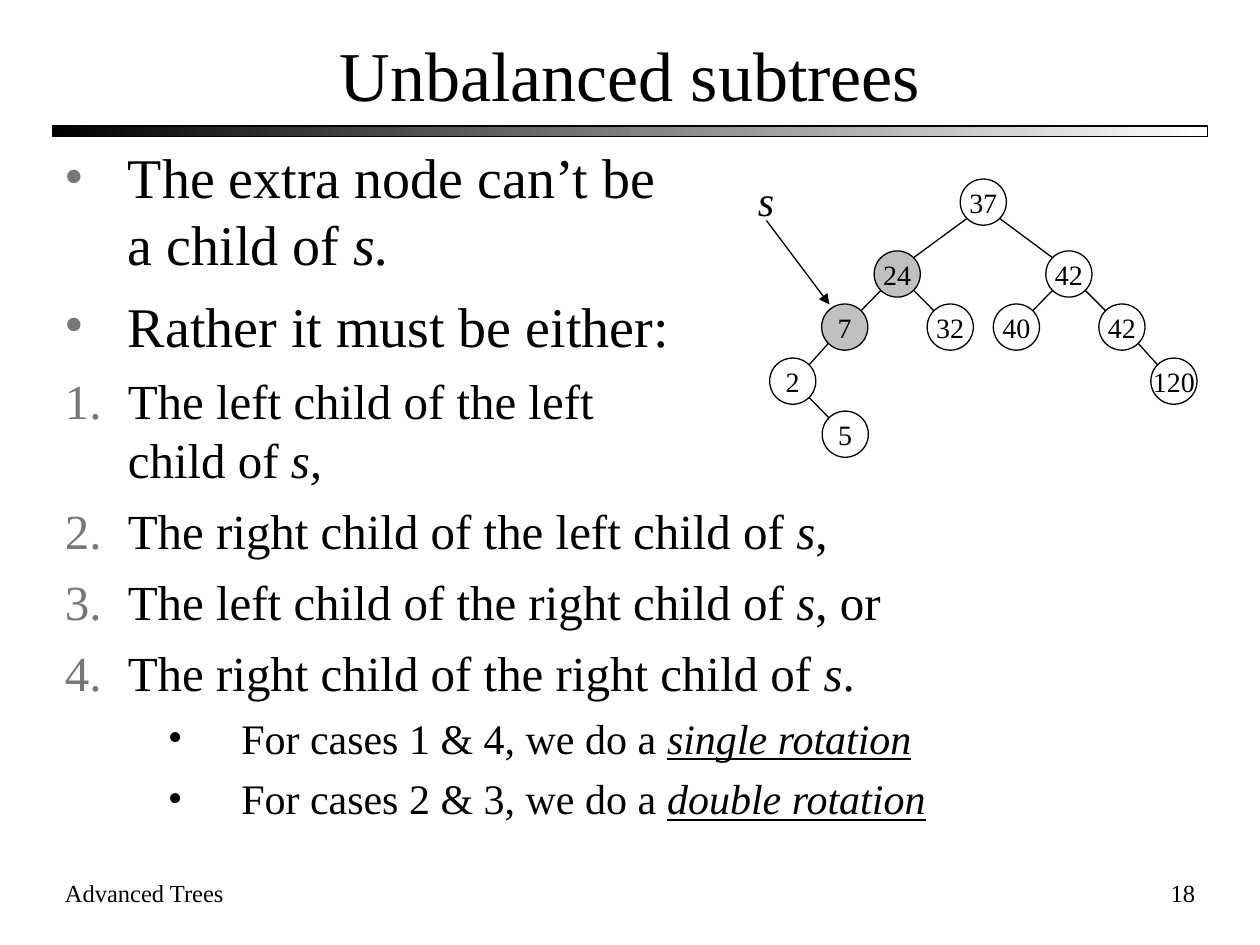
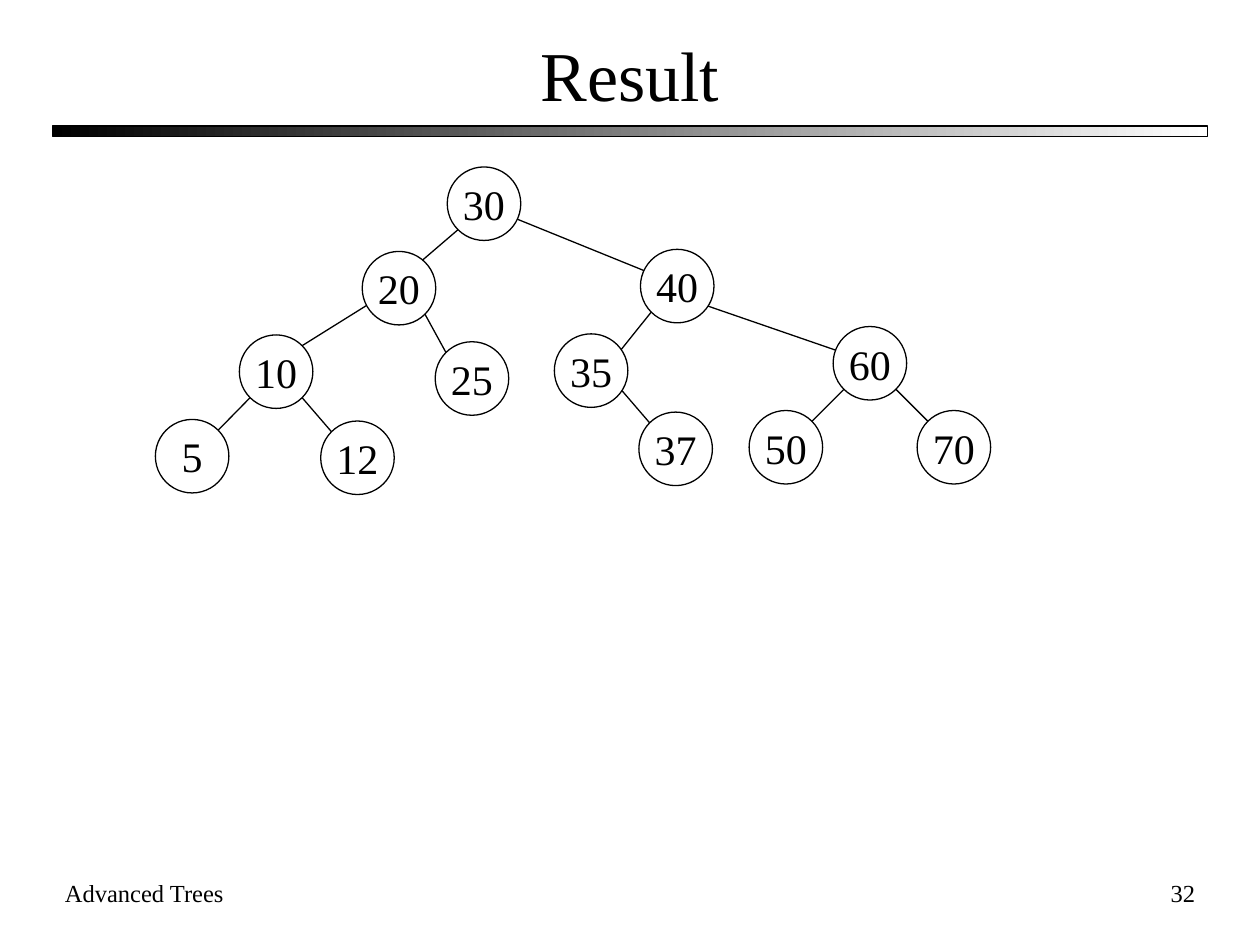
from math import cos, radians, sin

from lxml.etree import SubElement
from pptx import Presentation
from pptx.dml.color import RGBColor
from pptx.enum.shapes import MSO_CONNECTOR, MSO_SHAPE
from pptx.enum.text import MSO_ANCHOR, MSO_AUTO_SIZE, PP_ALIGN
from pptx.oxml.ns import qn
from pptx.util import Inches, Pt

BLACK = RGBColor(0x00, 0x00, 0x00)
WHITE = RGBColor(0xFF, 0xFF, 0xFF)
GRAY = RGBColor(0x77, 0x77, 0x77)
SILVER = RGBColor(0xC0, 0xC0, 0xC0)
FONT = "Times New Roman"
COLS, ROWS = 120, 90  # grid over the whole slide
LEFT, WIDE = 5, 110  # margin and width of the content

# Points by kind: size, space before, left indent, hanging indent, bullet colour
KINDS = {
    "dot": (32, 8, 6, -6, GRAY),
    "num": (28, 7, 6, -6, GRAY),
    "sub": (24, 6, 16.8, -7, BLACK),
}


class Deck:
    """Holds the style and the current slide; lengths are columns and rows."""

    def __init__(self):
        self.prs = Presentation()
        self.prs.slide_width, self.prs.slide_height = Inches(10), Inches(7.5)
        self.slide = None

    def x(self, col):
        return round(self.prs.slide_width * col / COLS)

    def y(self, row):
        return round(self.prs.slide_height * row / ROWS)

    def area(self, col, row, wide, high):
        return self.x(col), self.y(row), self.x(wide), self.y(high)

    def style(self, para, size, align=PP_ALIGN.LEFT):
        para.alignment = align
        font = para.font
        font.name, font.size, font.color.rgb = FONT, Pt(size), BLACK

    def outline(self, shape):
        shape.line.color.rgb = BLACK
        shape.line.width = Pt(0.75)

    # Frame shared by all slides
    def page(self, title, number):
        self.slide = self.prs.slides.add_slide(self.prs.slide_layouts[5])
        head = self.slide.shapes.title
        head.left, head.top, head.width, head.height = self.area(LEFT, 2, WIDE, 10)
        frame = head.text_frame
        frame.text = title
        frame.auto_size = MSO_AUTO_SIZE.NONE
        frame.vertical_anchor = MSO_ANCHOR.MIDDLE
        self.style(frame.paragraphs[0], 40, PP_ALIGN.CENTER)
        self.band()
        self.label("Advanced Trees", (LEFT, 83, 42, 6), 14)
        self.label(str(number), (90, 83, 25, 6), 14, PP_ALIGN.RIGHT)

    def band(self):
        bar = self.slide.shapes.add_shape(
            MSO_SHAPE.RECTANGLE, *self.area(LEFT, 12, WIDE, 1))
        bar.shadow.inherit = False
        bar.fill.gradient()
        bar.fill.gradient_angle = 0
        for stop, place, color in zip(bar.fill.gradient_stops, (0, 1), (BLACK, WHITE)):
            stop.position, stop.color.rgb = place, color
        self.outline(bar)

    def label(self, text, box, size, align=PP_ALIGN.LEFT, wrap=True):
        frame = self.slide.shapes.add_textbox(*self.area(*box)).text_frame
        frame.word_wrap = wrap
        para = frame.paragraphs[0]
        para.text = text
        self.style(para, size, align)
        return para

    # Bulleted text, with *stars* around the words in italics
    def points(self, items, box):
        frame = self.slide.shapes.add_textbox(*self.area(*box)).text_frame
        frame.word_wrap = True
        for i, (kind, text) in enumerate(items):
            para = frame.add_paragraph() if i else frame.paragraphs[0]
            size, gap, left, hang, color = KINDS[kind]
            self.bullet(para, kind, left, hang, color)
            para.space_before = Pt(gap if i else 0)
            self.style(para, size)
            for j, part in enumerate(text.split("*")):
                self.runs(para, part, j % 2 == 1, kind == "sub")

    def bullet(self, para, kind, left, hang, color):
        props = para._p.get_or_add_pPr()
        props.set("marL", str(self.x(left)))
        props.set("indent", str(self.x(hang)))
        tint = SubElement(props, qn("a:buClr"))
        SubElement(tint, qn("a:srgbClr")).set("val", str(color))
        SubElement(props, qn("a:buFont")).set("typeface", FONT)
        if kind == "num":
            SubElement(props, qn("a:buAutoNum")).set("type", "arabicPeriod")
        else:
            SubElement(props, qn("a:buChar")).set("char", "•")

    def runs(self, para, part, slant, under):
        for i, line in enumerate(part.split("\n")):
            if i:
                para.add_line_break()
            if line:
                run = para.add_run()
                run.text = line
                if slant:
                    run.font.italic = True
                    run.font.underline = under or None

    # Trees
    def line(self, start, end, arrow=False):
        link = self.slide.shapes.add_connector(
            MSO_CONNECTOR.STRAIGHT, self.x(start[0]), self.y(start[1]),
            self.x(end[0]), self.y(end[1]))
        self.outline(link)
        props = link._element.spPr
        if arrow:
            SubElement(props.find(qn("a:ln")), qn("a:tailEnd")).set("type", "triangle")
        SubElement(props, qn("a:effectLst"))

    def node(self, text, mid, wide, size, fill=None):
        ball = self.slide.shapes.add_shape(MSO_SHAPE.OVAL, *self.area(
            mid[0] - wide / 2, mid[1] - wide / 2, wide, wide))
        ball.shadow.inherit = False
        if fill is None:
            ball.fill.background()
        else:
            ball.fill.solid()
            ball.fill.fore_color.rgb = fill
        self.outline(ball)
        frame = ball.text_frame
        frame.word_wrap = False
        frame.vertical_anchor = MSO_ANCHOR.MIDDLE
        frame.text = text
        self.style(frame.paragraphs[0], size, PP_ALIGN.CENTER)

    def tree(self, nodes, edges, wide, size, marked=()):
        """Edges name parent and child, then the angles at which they meet them."""
        for key, mid in nodes.items():
            fill = SILVER if key in marked else None
            self.node(key.rstrip("'"), mid, wide, size, fill)
        for top, low, *turn in edges:
            out, into = turn or (45, 45)
            (x1, y1), (x2, y2) = nodes[top], nodes[low]
            side = wide / 2 if x2 > x1 else -wide / 2
            self.line(
                (x1 + side * cos(radians(out)), y1 + wide / 2 * sin(radians(out))),
                (x2 - side * cos(radians(into)), y2 - wide / 2 * sin(radians(into))))


def main():
    deck = Deck()

    # Slide: cases of imbalance
    deck.page("Unbalanced subtrees", 18)
    deck.points([
        ("dot", "The extra node can’t be\na child of *s.*"),
        ("dot", "Rather it must be either:"),
        ("num", "The left child of the left\nchild of *s,*"),
        ("num", "The right child of the left child of *s*,"),
        ("num", "The left child of the right child of *s*, or"),
        ("num", "The right child of the right child of *s*."),
        ("sub", "For cases 1 & 4, we do a *single rotation*"),
        ("sub", "For cases 2 & 3, we do a *double rotation*"),
    ], (LEFT, 13, WIDE, 69))
    # The prime tells the second 42 from the first
    deck.tree(
        {"37": (93.65, 19.25), "24": (85.45, 26.1), "42": (101.8, 26.1),
         "7": (80.45, 31.15), "32": (90.5, 31.15), "40": (96.8, 31.15),
         "42'": (106.85, 31.15), "2": (75.5, 36.3), "120": (111.8, 36.3),
         "5": (80.5, 41.35)},
        [("37", "24"), ("37", "42"), ("24", "7"), ("24", "32"), ("42", "40"),
         ("42", "42'"), ("7", "2"), ("42'", "120"), ("2", "5")],
        4.4, 16, marked=("24", "7"))
    deck.label("s", (71, 16, 4, 6), 24, wrap=False).font.italic = True
    deck.line((73, 21), (79, 29), arrow=True)

    # Slide: tree after the rotations
    deck.page("Result", 32)
    deck.tree(
        {"30": (46.1, 19.4), "20": (38, 27.45), "40": (64.5, 27.25),
         "10": (26.3, 35.4), "25": (44.95, 36.05), "35": (56.3, 35.3),
         "60": (82.85, 34.6), "5": (18.3, 43.45), "12": (34.05, 43.6),
         "37": (64.35, 42.75), "50": (74.85, 42.6), "70": (90.85, 42.6)},
        [("30", "20", 45, 50), ("30", "40", 25, 25), ("20", "10", 28, 45),
         ("20", "25"), ("40", "35", 45, 35), ("40", "60", 33, 21),
         ("10", "5"), ("10", "12"), ("35", "37", 33, 45),
         ("60", "50"), ("60", "70")],
        7, 24)

    deck.prs.save("out.pptx")


if __name__ == "__main__":
    main()
